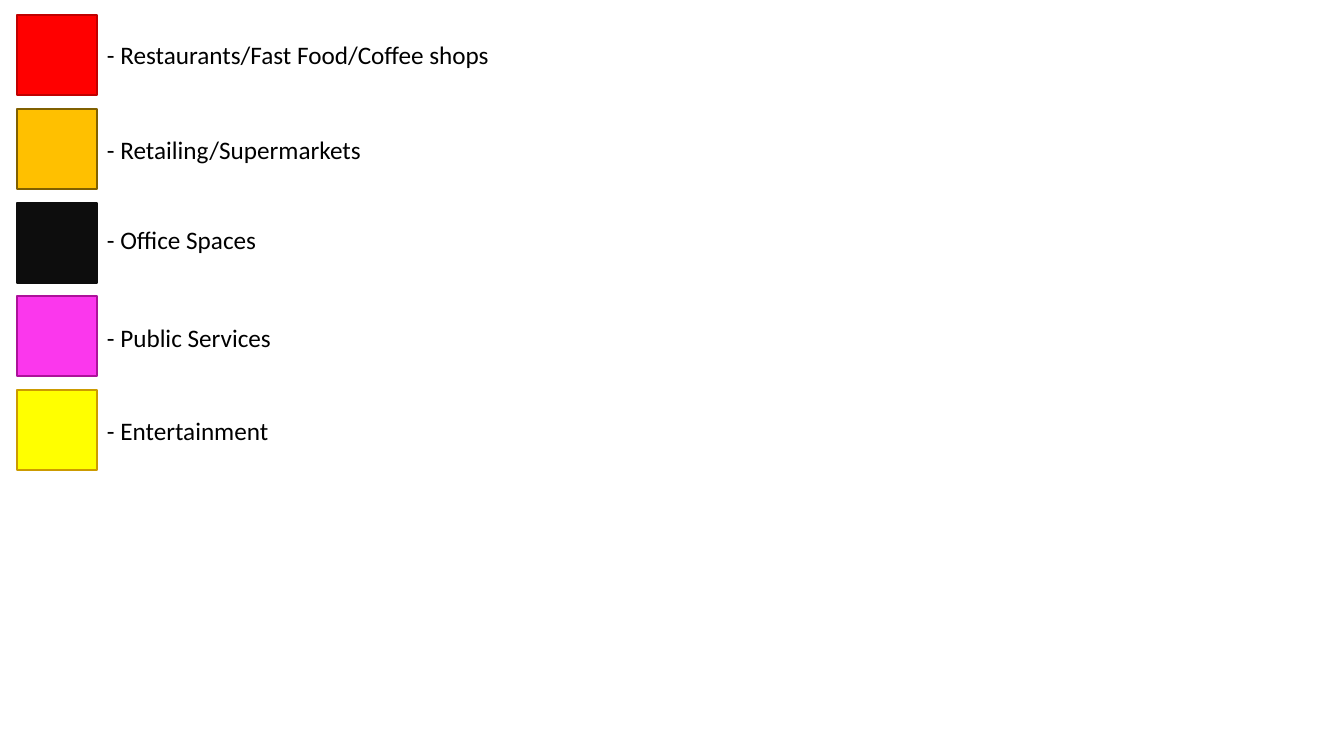
from dataclasses import dataclass

from pptx import Presentation
from pptx.dml.color import RGBColor
from pptx.enum.shapes import MSO_SHAPE
from pptx.enum.text import MSO_AUTO_SIZE
from pptx.util import Emu, Pt

RECTANGLE = MSO_SHAPE.RECTANGLE
FIT_SHAPE = MSO_AUTO_SIZE.SHAPE_TO_FIT_TEXT
BLANK_LAYOUT = 6

EMU_PER_PX = 914400 / 100.8

# Legend geometry in pixels
SWATCH_LEFT, SWATCH_SIZE = 17, 80
FIRST_TOP, ROW_PITCH = 15, 93.8
LABEL_LEFT, LABEL_WIDTH, LABEL_HEIGHT = 97, 433, 40


@dataclass(frozen=True)
class LegendEntry:
    label: str
    fill: str
    line: str
    label_offset: int  # from swatch top to label top


ENTRIES = [
    LegendEntry("- Restaurants/Fast Food/Coffee shops", "FF0000", "C00000", 19),
    LegendEntry("- Retailing/Supermarkets", "FFC000", "806000", 20),
    LegendEntry("- Office Spaces", "0D0D0D", "0D0D0D", 16),
    LegendEntry("- Public Services", "FB37ED", "AC129A", 21),
    LegendEntry("- Entertainment", "FFFF00", "CC9B00", 20),
]


def px(n: int) -> Emu:
    return Emu(round(n * EMU_PER_PX))


def rgb(value: str) -> RGBColor:
    return RGBColor.from_string(value)


def add_swatch(s, entry: LegendEntry, top: int) -> None:
    sp = s.shapes.add_shape(RECTANGLE, px(SWATCH_LEFT), px(top),
                            px(SWATCH_SIZE), px(SWATCH_SIZE))
    sp.shadow.inherit = False
    sp.fill.solid()
    sp.fill.fore_color.rgb = rgb(entry.fill)
    sp.line.color.rgb = rgb(entry.line)
    sp.line.width = Pt(1)


def add_label(s, entry: LegendEntry, top: int) -> None:
    sp = s.shapes.add_textbox(px(LABEL_LEFT), px(top + entry.label_offset),
                              px(LABEL_WIDTH), px(LABEL_HEIGHT))
    tf = sp.text_frame
    tf.word_wrap = True
    tf.auto_size = FIT_SHAPE
    tf.text = entry.label
    font = tf.paragraphs[0].runs[0].font
    font.name = "Calibri"
    font.size = Pt(18)
    font.color.rgb = rgb("000000")


prs = Presentation()
prs.slide_width, prs.slide_height = px(1344), px(756)
s = prs.slides.add_slide(prs.slide_layouts[BLANK_LAYOUT])

# Colour legend, one row per land use
for row, entry in enumerate(ENTRIES):
    top = round(FIRST_TOP + row * ROW_PITCH)
    add_swatch(s, entry, top)
    add_label(s, entry, top)

prs.save("out.pptx")
